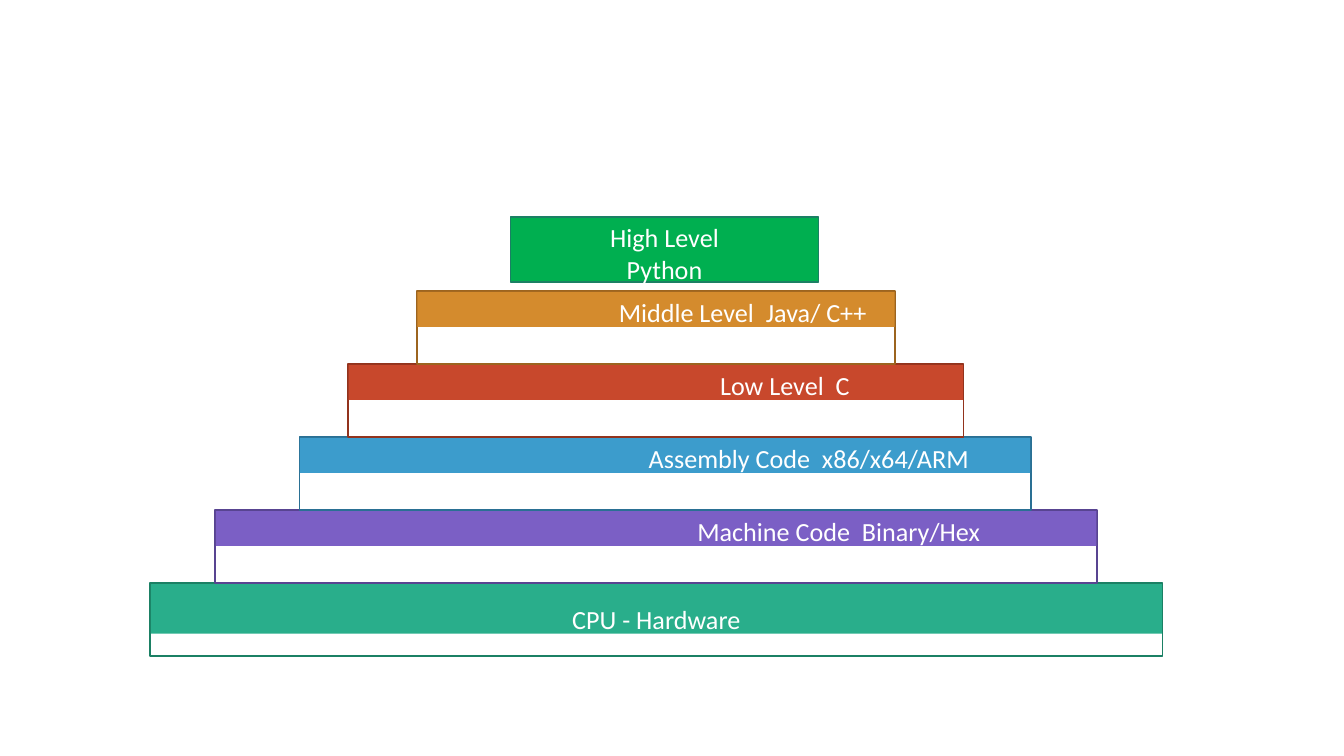
"""Build a slide with a stepped pyramid of programming language levels."""
from pptx import Presentation
from pptx.dml.color import RGBColor
from pptx.enum.shapes import MSO_SHAPE
from pptx.enum.text import MSO_ANCHOR, PP_ALIGN
from pptx.util import Cm, Pt

RECTANGLE = MSO_SHAPE.RECTANGLE
TOP = MSO_ANCHOR.TOP
CENTER = PP_ALIGN.CENTER

WHITE = RGBColor(0xFF, 0xFF, 0xFF)
GREEN = RGBColor(0x00, 0xAF, 0x50)
ORANGE = RGBColor(0xD4, 0x8B, 0x2D)
DARK_ORANGE = RGBColor(0x9C, 0x64, 0x1F)
RED = RGBColor(0xC8, 0x48, 0x2C)
DARK_RED = RGBColor(0x92, 0x33, 0x1D)
BLUE = RGBColor(0x3C, 0x9C, 0xCC)
DARK_BLUE = RGBColor(0x2A, 0x70, 0x94)
PURPLE = RGBColor(0x7B, 0x5F, 0xC5)
DARK_PURPLE = RGBColor(0x58, 0x44, 0x91)
TEAL = RGBColor(0x29, 0xAE, 0x8B)
DARK_TEAL = RGBColor(0x1B, 0x80, 0x64)

FIRST_TOP = 5.5
STEP_HEIGHT = 1.38

STEPS = [
    ("Middle Level  Java/ C++", 7.88, 9.04, 0.66, 0.08, 3.28, ORANGE, DARK_ORANGE),
    ("Low Level  C", 6.58, 11.63, 0.66, 0.08, 4.88, RED, DARK_RED),
    ("Assembly Code  x86/x64/ARM", 5.66, 13.82, 0.66, 0.08, 5.44, BLUE, DARK_BLUE),
    ("Machine Code  Binary/Hex", 4.07, 16.66, 0.66, 0.08, 6.91, PURPLE, DARK_PURPLE),
    ("CPU - Hardware", 2.84, 19.13, 0.94, 0.36, 0, TEAL, DARK_TEAL),
]


def add_box(slide, left, top, width, height, fill=None, line=None):
    shape = slide.shapes.add_shape(RECTANGLE, Cm(left), Cm(top), Cm(width), Cm(height))
    shape.shadow.inherit = False
    if fill is None:
        shape.fill.background()
    else:
        shape.fill.solid()
        shape.fill.fore_color.rgb = fill
    if line is None:
        shape.line.fill.background()
    else:
        shape.line.color.rgb = line
        shape.line.width = Pt(0.96)
    return shape


def write_lines(shape, lines, top_inset, indent=0):
    frame = shape.text_frame
    frame.word_wrap = True
    frame.vertical_anchor = TOP
    frame.margin_left = frame.margin_right = frame.margin_bottom = 0
    frame.margin_top = Cm(top_inset)
    for index, text in enumerate(lines):
        paragraph = frame.add_paragraph() if index else frame.paragraphs[0]
        paragraph.alignment = CENTER
        if indent:
            properties = paragraph._p.get_or_add_pPr()
            properties.set("marL", str(Cm(indent)))
            properties.set("indent", "0")
        run = paragraph.add_run()
        run.text = text
        run.font.name = "Calibri"
        run.font.size = Pt(14)
        run.font.color.rgb = WHITE


presentation = Presentation()
presentation.slide_width = Cm(25.4)
presentation.slide_height = Cm(14.29)
slide = presentation.slides.add_slide(presentation.slide_layouts[6])

for row, step in reversed(list(enumerate(STEPS))):
    text, left, width, band_height, top_inset, indent, fill, line = step
    top = FIRST_TOP + row * STEP_HEIGHT
    add_box(slide, left, top, width, STEP_HEIGHT, line=line)
    band = add_box(slide, left + 0.01, top + 0.02, width - 0.02, band_height, fill=fill)
    write_lines(band, [text], top_inset, indent)

peak = add_box(slide, 9.65, 4.11, 5.82, 1.22, GREEN, DARK_TEAL)
write_lines(peak, ["High Level", "Python"], 0.08)

presentation.save("out.pptx")
